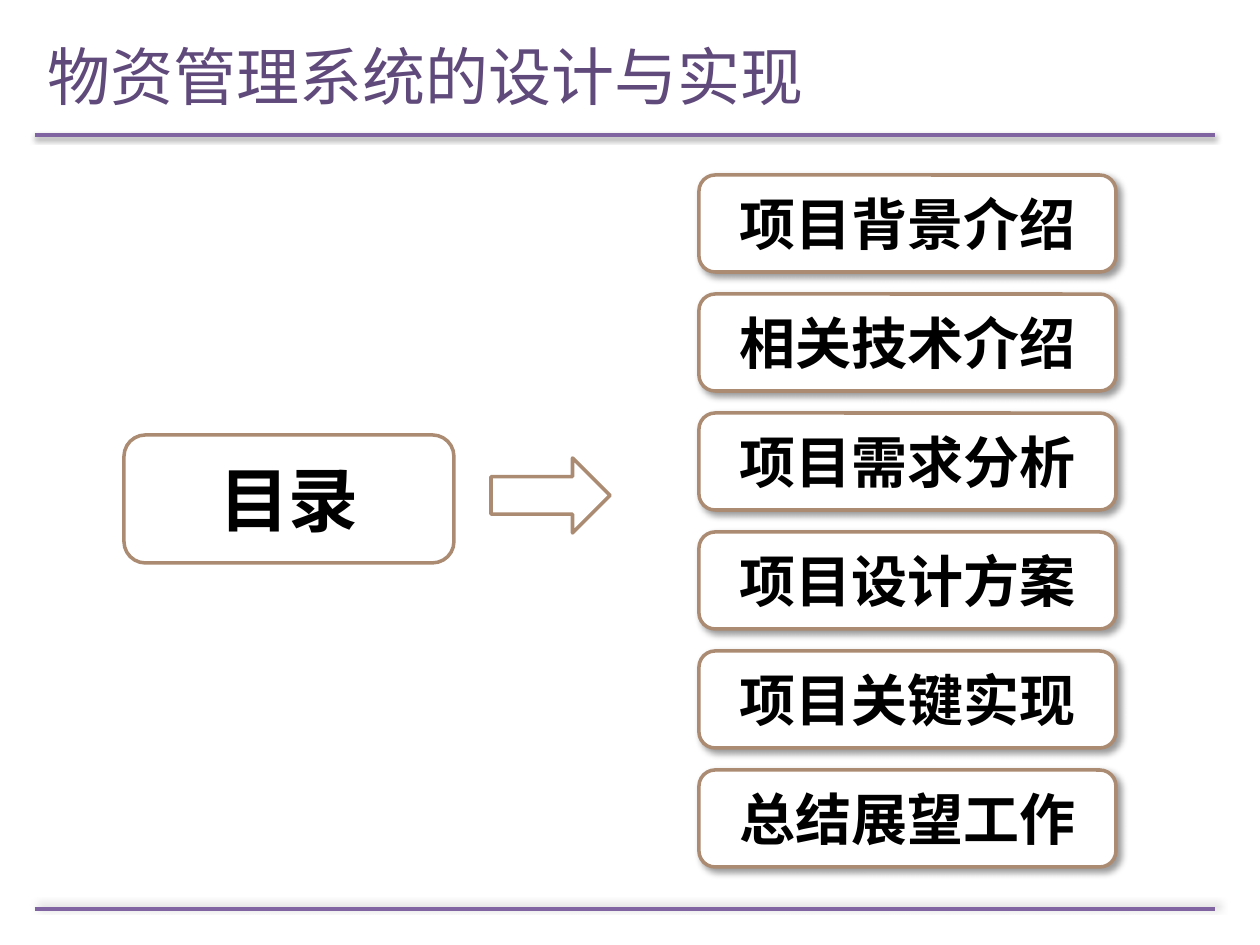
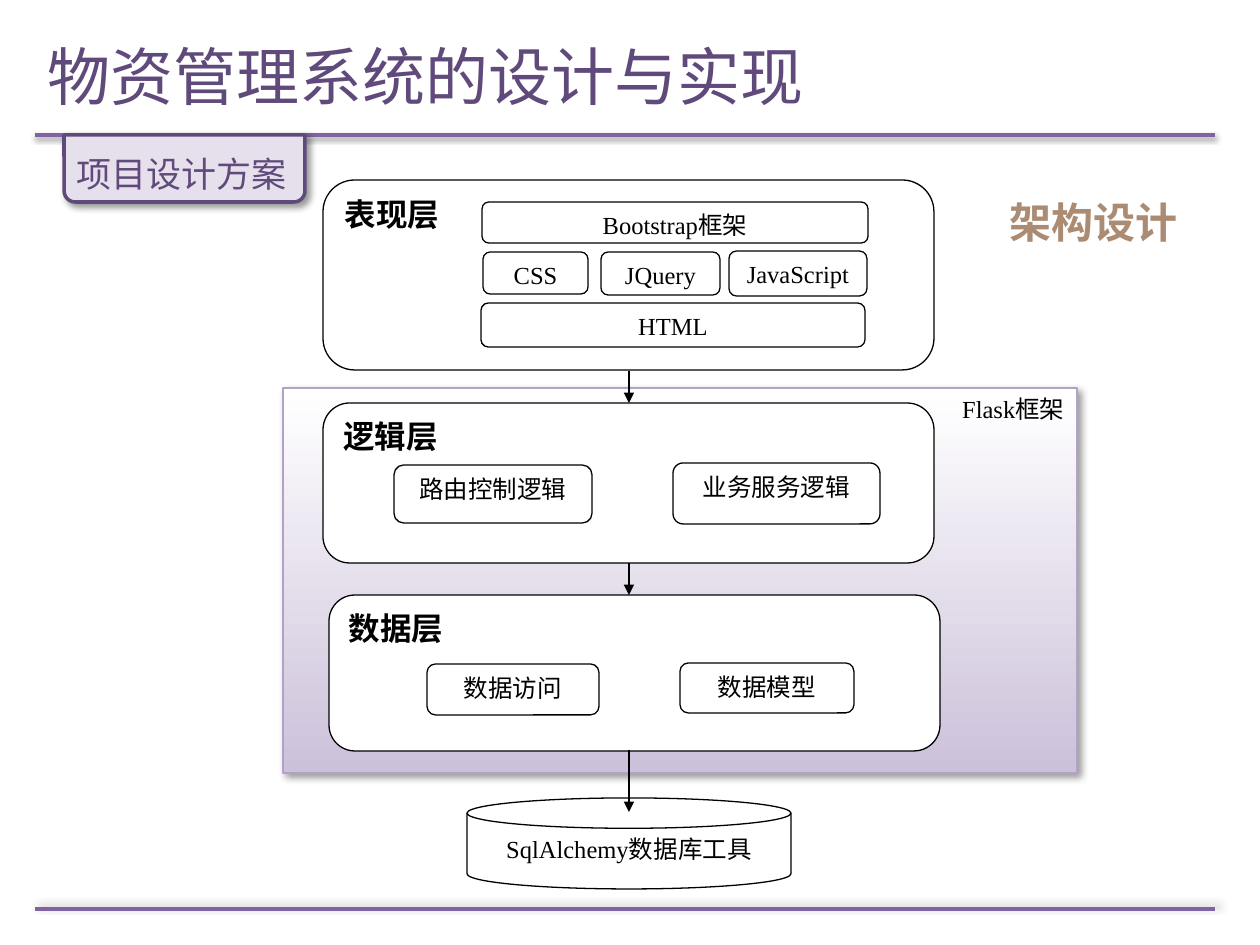
from dataclasses import dataclass

from lxml.etree import SubElement
from pptx import Presentation
from pptx.dml.color import RGBColor
from pptx.enum.shapes import MSO_CONNECTOR, MSO_SHAPE
from pptx.enum.text import MSO_ANCHOR, MSO_AUTO_SIZE, PP_ALIGN
from pptx.oxml.ns import qn
from pptx.util import Emu, Pt


@dataclass(frozen=True)
class Theme:
    """Colours, fonts, type sizes, line widths and shadows of the deck."""
    plum: str = "604A7B"
    violet: str = "8064A2"
    lilac: str = "B3A2C7"
    lilac_fade: str = "CCC1DA"
    lilac_pale: str = "E6E0EC"
    tan: str = "AB8B72"
    black: str = "000000"
    white: str = "FFFFFF"
    asian: str = "Noto Sans CJK SC"
    sans: str = "Arial"
    serif: str = "Times New Roman"
    caption: str = "Calibri"
    title_size: int = 36
    contents_size: int = 40
    topic_size: int = 32
    section_size: int = 24
    tab_size: int = 20
    layer_size: int = 18
    part_size: int = 14
    thick: float = 2
    medium: float = 1
    thin: float = 0.75
    card_shadow: tuple = (40, 4, 3, 45)
    top_shadow: tuple = (38, 3.1, 1.6, 90)
    bottom_shadow: tuple = (40, 4, 3, 315)


TITLE = "物资管理系统的设计与实现"
TOPICS = ["项目背景介绍", "相关技术介绍", "项目需求分析", "项目设计方案", "项目关键实现", "总结展望工作"]
LAYERS = [
    ("表现层", (323, 180, 611, 190)),
    ("逻辑层", (323, 403, 611, 160)),
    ("数据层", (329, 595, 611, 156)),
]
PARTS = [
    ("Bootstrap框架", (482, 202, 386, 41)),
    ("CSS", (483, 252, 105, 42)),
    ("JQuery", (601, 252, 119, 43)),
    ("JavaScript", (729, 251, 138, 45)),
    ("HTML", (481, 303, 384, 44)),
    ("路由控制逻辑", (394, 465, 198, 58)),
    ("业务服务逻辑", (673, 463, 207, 61)),
    ("数据访问", (427, 664, 172, 51)),
    ("数据模型", (680, 663, 174, 50)),
]
FLOWS = [(371, 403), (563, 595), (750, 812)]
FLOW_X = 629


def px(length):
    """Turn pixels into EMU at 126 pixels to the inch."""
    return Emu(round(length * 914400 / 126))


def assign(target, values):
    """Set every attribute named in values on the target."""
    for name, value in values.items():
        setattr(target, name, value)


class Builder:
    """Hold the deck, its theme and the current page."""

    def __init__(self, theme):
        """Start an empty deck."""
        self.theme = theme
        self.deck = Presentation()
        assign(self.deck, {"slide_width": px(1260), "slide_height": px(945)})
        self.page = None

    def open_page(self, title):
        """Add a page with its title and the two rules."""
        theme = self.theme
        self.page = self.deck.slides.add_slide(self.deck.slide_layouts[5])
        box = self.page.shapes.title
        assign(box, dict(zip(("left", "top", "width", "height"), map(px, (35, 16, 1134, 118)))))
        self.letter(box, title, theme.title_size, theme.asian, theme.plum,
                    align=PP_ALIGN.LEFT, anchor=MSO_ANCHOR.MIDDLE)
        self.line((35, 135), (1215, 135), theme.violet, theme.thick, theme.top_shadow)
        self.line((35, 909), (1215, 909), theme.violet, theme.thick, theme.bottom_shadow)

    def letter(self, box, text, size, font, color=None, bold=False,
               align=PP_ALIGN.CENTER, anchor=MSO_ANCHOR.TOP, spacing=None):
        """Fill a box with one formatted paragraph."""
        frame = box.text_frame
        assign(frame, {"word_wrap": True, "auto_size": MSO_AUTO_SIZE.NONE, "vertical_anchor": anchor})
        para = frame.paragraphs[0]
        assign(para, {"alignment": align, "line_spacing": spacing})
        span = para.add_run()
        span.text = text
        assign(span.font, {"size": Pt(size), "name": font, "bold": bold})
        span.font.color.rgb = RGBColor.from_string(color or self.theme.black)
        SubElement(span.font._element, qn("a:ea"), typeface=self.theme.asian)

    def stroke(self, item, color, width):
        """Set the line of a shape or connector."""
        item.line.color.rgb = RGBColor.from_string(color)
        item.line.width = Pt(width)

    def cast(self, item, shadow):
        """Replace the inherited shadow by the given one or by none."""
        effects = SubElement(item._element.spPr, qn("a:effectLst"))
        if shadow:
            alpha, blur, distance, angle = shadow
            outer = SubElement(effects, qn("a:outerShdw"), blurRad=str(Pt(blur)), dist=str(Pt(distance)),
                               dir=str(angle * 60000), algn="tl", rotWithShape="0")
            tint = SubElement(outer, qn("a:srgbClr"), val=self.theme.black)
            SubElement(tint, qn("a:alpha"), val=str(alpha * 1000))

    def shape(self, kind, place, color, width, fill=None, shadow=None):
        """Draw a preset shape with plain or no fill."""
        box = self.page.shapes.add_shape(kind, *map(px, place))
        if fill:
            box.fill.solid()
            box.fill.fore_color.rgb = RGBColor.from_string(fill)
        else:
            box.fill.background()
        self.stroke(box, color, width)
        self.cast(box, shadow)
        return box

    def fade(self, box, *colors):
        """Give a shape a gradient from top to bottom."""
        box.fill.gradient()
        box.fill.gradient_angle = 270
        for stop, color in zip(box.fill.gradient_stops, colors):
            stop.color.rgb = RGBColor.from_string(color)

    def text(self, place, *words, **style):
        """Place a free text box."""
        self.letter(self.page.shapes.add_textbox(*map(px, place)), *words, align=PP_ALIGN.LEFT, **style)

    def line(self, start, end, color, width, shadow=None, arrow=False):
        """Draw a straight line, with an arrowhead if asked."""
        line = self.page.shapes.add_connector(MSO_CONNECTOR.STRAIGHT, *map(px, start + end))
        self.stroke(line, color, width)
        if arrow:
            SubElement(line._element.spPr.find(qn("a:ln")), qn("a:tailEnd"), type="triangle")
        self.cast(line, shadow)

    def card(self, text, place, size, shadow=None):
        """Draw a tan-edged card with a bold centred heading."""
        theme = self.theme
        box = self.shape(MSO_SHAPE.ROUNDED_RECTANGLE, place, theme.tan, theme.thick, theme.white, shadow)
        self.letter(box, text, size, theme.sans, bold=True, anchor=MSO_ANCHOR.MIDDLE)

    def node(self, text, place, size, kind=MSO_SHAPE.ROUNDED_RECTANGLE, **style):
        """Draw a thin-edged part of the architecture."""
        theme = self.theme
        box = self.shape(kind, place, theme.black, theme.thin, theme.white)
        self.letter(box, text, size, theme.serif, **style)


def contents_page(builder):
    """Build the table of contents."""
    theme = builder.theme
    builder.open_page(TITLE)
    builder.card("目录", (124, 435, 330, 128), theme.contents_size)
    for row, topic in enumerate(TOPICS):
        builder.card(topic, (699, 175 + 119 * row, 417, 97), theme.topic_size, theme.card_shadow)
    builder.shape(MSO_SHAPE.RIGHT_ARROW, (491, 458, 119, 75), theme.tan, theme.thick)


def architecture_page(builder):
    """Build the layered architecture diagram."""
    theme = builder.theme
    builder.open_page(TITLE)
    tab = builder.shape(MSO_SHAPE.ROUND_2_SAME_RECTANGLE, (64, 135, 241, 67), theme.plum, theme.thick,
                        theme.lilac_pale, theme.card_shadow)
    tab.rotation = 180
    builder.text((64, 125, 292, 67), "项目设计方案", theme.tab_size, theme.sans, theme.plum, spacing=1.5)
    backdrop = builder.shape(MSO_SHAPE.RECTANGLE, (283, 388, 794, 385), theme.lilac, theme.medium,
                             shadow=theme.card_shadow)
    builder.fade(backdrop, theme.white, theme.lilac_fade)
    builder.letter(backdrop, "Flask框架", theme.part_size, theme.serif, align=PP_ALIGN.RIGHT)
    for name, place in LAYERS:
        builder.node(name, place, theme.layer_size, bold=True, align=PP_ALIGN.LEFT)
    for name, place in PARTS:
        builder.node(name, place, theme.part_size)
    builder.node("SqlAlchemy数据库工具", (467, 798, 324, 91), theme.part_size,
                 MSO_SHAPE.FLOWCHART_MAGNETIC_DISK)
    for top, bottom in FLOWS:
        builder.line((FLOW_X, top), (FLOW_X, bottom), theme.black, theme.thin, arrow=True)
    builder.text((997, 190, 250, 63), "架构设计", theme.section_size, theme.caption, theme.tan, bold=True)


def main():
    """Build both pages and save the deck."""
    builder = Builder(Theme())
    contents_page(builder)
    architecture_page(builder)
    builder.deck.save("out.pptx")


if __name__ == "__main__":
    main()
